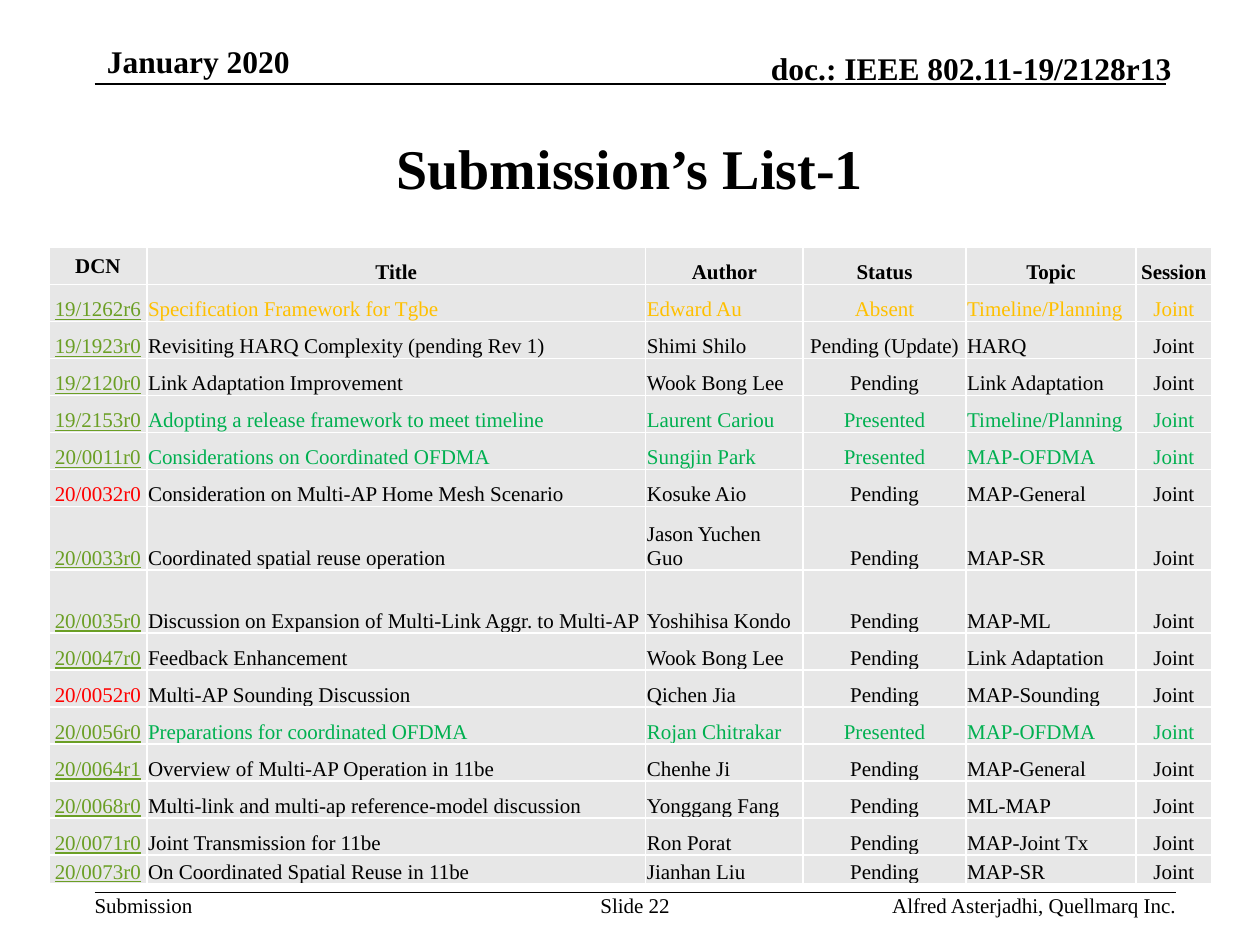
from dataclasses import dataclass

from lxml import etree
from pptx import Presentation
from pptx.dml.color import RGBColor
from pptx.enum.shapes import MSO_CONNECTOR
from pptx.enum.text import MSO_ANCHOR, MSO_AUTO_SIZE, PP_ALIGN
from pptx.oxml.ns import qn
from pptx.util import Pt

LEFT, CENTER, RIGHT = PP_ALIGN.LEFT, PP_ALIGN.CENTER, PP_ALIGN.RIGHT
TOP, MIDDLE, BOTTOM = MSO_ANCHOR.TOP, MSO_ANCHOR.MIDDLE, MSO_ANCHOR.BOTTOM
STRAIGHT = MSO_CONNECTOR.STRAIGHT
NO_FIT = MSO_AUTO_SIZE.NONE
TITLE_ONLY = 5


@dataclass(frozen=True)
class Theme:
    font: str = "Times New Roman"
    title_size: float = 32
    header_size: float = 18
    body_size: float = 12
    ink: str = "000000"
    link: str = "6B9F25"
    missing: str = "FF0000"
    absent: str = "FFC000"
    presented: str = "00B050"
    cell: str = "E7E7E7"
    border: str = "FFFFFF"


HEADINGS = ["DCN", "Title", "Author", "Status", "Topic", "Session"]
ALIGNMENTS = [CENTER, LEFT, LEFT, CENTER, LEFT, CENTER]
COLUMN_WIDTHS = [55.9, 285.1, 90, 93, 97.2, 43.2]
ROW_HEIGHT, TALL_ROW, LAST_ROW = 21.15, 36.2, 16.3
SESSION = "Joint"
UNLINKED = {"20/0032r0", "20/0052r0"}
TALL = {"20/0033r0", "20/0035r0"}
SUBMISSIONS = [
    ("19/1262r6", "Specification Framework for Tgbe", "Edward Au", "Absent", "Timeline/Planning"),
    ("19/1923r0", "Revisiting HARQ Complexity (pending Rev 1)", "Shimi Shilo", "Pending (Update)", "HARQ"),
    ("19/2120r0", "Link Adaptation Improvement", "Wook Bong Lee", "Pending", "Link Adaptation"),
    ("19/2153r0", "Adopting a release framework to meet timeline", "Laurent Cariou", "Presented",
     "Timeline/Planning"),
    ("20/0011r0", "Considerations on Coordinated OFDMA", "Sungjin Park", "Presented", "MAP-OFDMA"),
    ("20/0032r0", "Consideration on Multi-AP Home Mesh Scenario", "Kosuke Aio", "Pending", "MAP-General"),
    ("20/0033r0", "Coordinated spatial reuse operation", "Jason Yuchen Guo", "Pending", "MAP-SR"),
    ("20/0035r0", "Discussion on Expansion of Multi-Link Aggr. to Multi-AP", "Yoshihisa Kondo", "Pending",
     "MAP-ML"),
    ("20/0047r0", "Feedback Enhancement", "Wook Bong Lee", "Pending", "Link Adaptation"),
    ("20/0052r0", "Multi-AP Sounding Discussion", "Qichen Jia", "Pending", "MAP-Sounding"),
    ("20/0056r0", "Preparations for coordinated OFDMA", "Rojan Chitrakar", "Presented", "MAP-OFDMA"),
    ("20/0064r1", "Overview of Multi-AP Operation in 11be", "Chenhe Ji", "Pending", "MAP-General"),
    ("20/0068r0", "Multi-link and multi-ap reference-model discussion", "Yonggang Fang", "Pending", "ML-MAP"),
    ("20/0071r0", "Joint Transmission for 11be", "Ron Porat", "Pending", "MAP-Joint Tx"),
    ("20/0073r0", "On Coordinated Spatial Reuse in 11be", "Jianhan Liu", "Pending", "MAP-SR"),
]


def set_all(target, values):
    for name, value in values.items():
        setattr(target, name, value)


class PageBuilder:
    def __init__(self, page, theme):
        self.page = page
        self.theme = theme

    def add_words(self, frame, text, align=LEFT, size=None, color=None, bold=False, underline=False):
        para = frame.paragraphs[0]
        para.alignment = align
        span = para.add_run()
        span.text = text
        set_all(span.font, {"name": self.theme.font, "size": Pt(size or self.theme.body_size),
                            "bold": bold, "underline": underline})
        span.font.color.rgb = RGBColor.from_string(color or self.theme.ink)

    def place(self, box, area, text, anchor, margins, wrap, **style):
        set_all(box, dict(zip(("left", "top", "width", "height"), map(Pt, area))))
        across, down = map(Pt, margins)
        set_all(box.text_frame, {
            "word_wrap": wrap, "auto_size": NO_FIT, "vertical_anchor": anchor,
            "margin_left": across, "margin_right": across, "margin_top": down, "margin_bottom": down})
        self.add_words(box.text_frame, text, **style)

    def title(self, area, text):
        self.place(self.page.shapes.title, area, text, MIDDLE, (7.2, 3.6), True,
                   align=CENTER, size=self.theme.title_size, bold=True)

    def text(self, area, text, anchor=TOP, margins=(0, 0), wrap=True, **style):
        box = self.page.shapes.add_textbox(*map(Pt, area))
        self.place(box, area, text, anchor, margins, wrap, **style)

    def rule(self, left, right, top):
        line = self.page.shapes.add_connector(STRAIGHT, Pt(left), Pt(top), Pt(right), Pt(top))
        line.line.width = Pt(1)
        line.line.color.rgb = RGBColor.from_string(self.theme.ink)
        etree.SubElement(line._element.spPr, qn("a:effectLst"))

    def cell(self, cell, text, anchor=BOTTOM, **style):
        set_all(cell, {"margin_left": Pt(0.7), "margin_right": Pt(0.7), "margin_top": Pt(0.7),
                       "margin_bottom": 0, "vertical_anchor": anchor})
        # Borders come before the fill in the cell properties
        properties = cell._tc.get_or_add_tcPr()
        for side in ("lnL", "lnR", "lnT", "lnB"):
            edge = etree.SubElement(properties, qn(f"a:{side}"), w=str(Pt(1)))
            fill = etree.SubElement(edge, qn("a:solidFill"))
            etree.SubElement(fill, qn("a:srgbClr"), val=self.theme.border)
        cell.fill.solid()
        cell.fill.fore_color.rgb = RGBColor.from_string(self.theme.cell)
        self.add_words(cell.text_frame, text, **style)

    def submissions(self, left, top):
        theme = self.theme
        heights = [ROW_HEIGHT] + [TALL_ROW if row[0] in TALL else ROW_HEIGHT for row in SUBMISSIONS]
        heights[-1] = LAST_ROW
        table = self.page.shapes.add_table(
            len(heights), len(HEADINGS), Pt(left), Pt(top),
            Pt(sum(COLUMN_WIDTHS)), Pt(sum(heights))).table
        set_all(table, {"first_row": False, "horz_banding": False})
        for column, width in zip(table.columns, COLUMN_WIDTHS):
            column.width = Pt(width)
        for row, height in zip(table.rows, heights):
            row.height = Pt(height)

        # Heading row
        for index, heading in enumerate(HEADINGS):
            self.cell(table.cell(0, index), heading, MIDDLE if index == 0 else BOTTOM,
                      align=CENTER, bold=True)

        # One row per submission, coloured by its status
        status_colors = {"Absent": theme.absent, "Presented": theme.presented}
        for number, entry in enumerate(SUBMISSIONS, 1):
            linked = entry[0] not in UNLINKED
            row_color = status_colors.get(entry[3], theme.ink)
            number_color = theme.link if linked else theme.missing
            for index, (text, align) in enumerate(zip((*entry, SESSION), ALIGNMENTS)):
                is_number = index == 0
                self.cell(table.cell(number, index), text, align=align,
                          color=number_color if is_number else row_color,
                          underline=is_number and linked)


def main():
    theme = Theme()
    deck = Presentation()
    deck.slide_width, deck.slide_height = Pt(720), Pt(540)
    builder = PageBuilder(deck.slides.add_slide(deck.slide_layouts[TITLE_ONLY]), theme)
    header = {"size": theme.header_size, "bold": True}

    # Header
    builder.rule(54, 666, 48)
    builder.text((54, 20.2, 181.4, 21.6), "January 2020", margins=(7.2, 3.6), **header)
    builder.text((393.8, 28, 275.8, 21.6), "doc.: IEEE 802.11-19/2128r13", BOTTOM, align=RIGHT, **header)

    # Title and table
    builder.title((54, 54, 612, 83.5), "Submission’s List-1")
    builder.submissions(28, 141.4)

    # Footer
    builder.rule(54, 672, 510)
    builder.text((54, 510, 56.2, 14.4), "Submission", wrap=False)
    builder.text((342, 510, 41.8, 28.8), "Slide 22", align=CENTER)
    builder.text((421.9, 510, 250.2, 14.4), "Alfred Asterjadhi, Quellmarq Inc.", align=RIGHT)

    deck.save("out.pptx")


if __name__ == "__main__":
    main()
